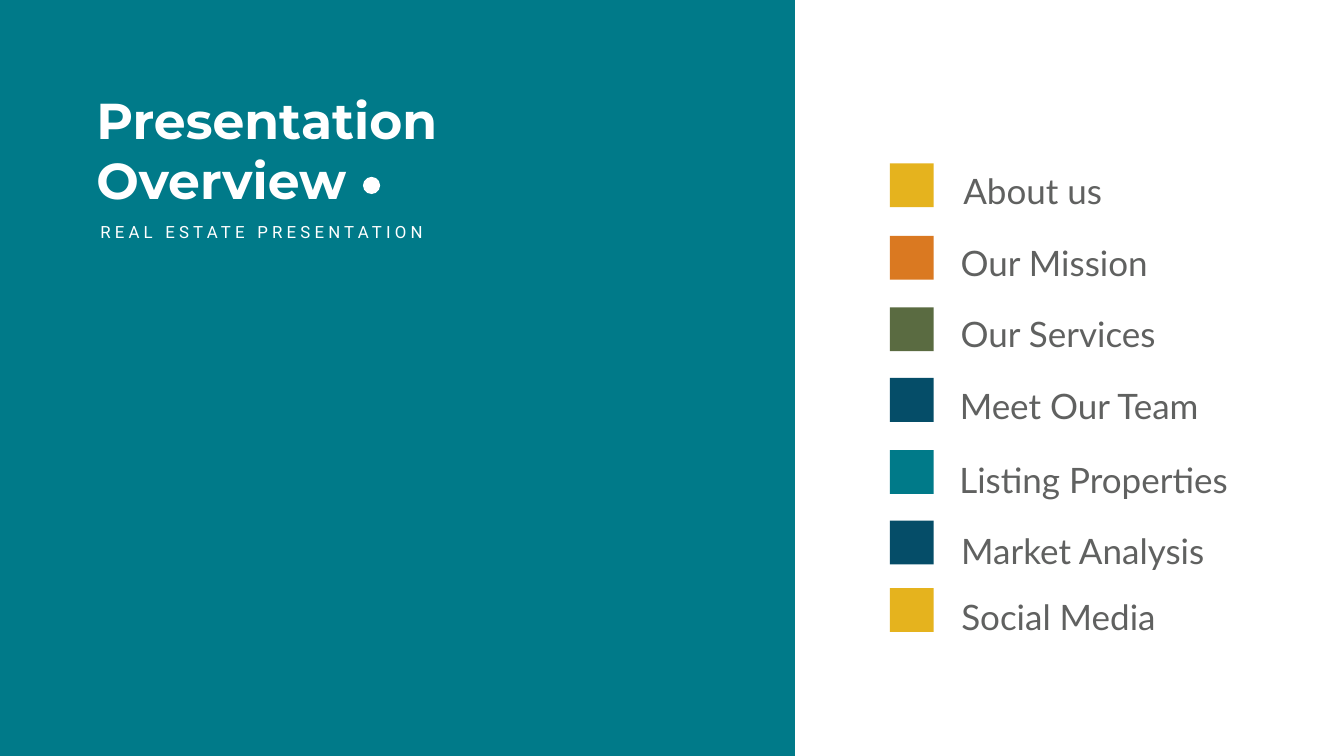
from pptx import Presentation
from pptx.dml.color import RGBColor
from pptx.enum.shapes import MSO_SHAPE as Preset
from pptx.enum.text import MSO_ANCHOR as Anchor, MSO_AUTO_SIZE as AutoSize, PP_ALIGN as Align
from pptx.util import Pt

WHITE = RGBColor(0xFF, 0xFF, 0xFF)
GRAY = RGBColor(0x60, 0x61, 0x60)
TEAL = RGBColor(0x00, 0x7A, 0x89)
YELLOW = RGBColor(0xE5, 0xB3, 0x1E)
ORANGE = RGBColor(0xDA, 0x79, 0x21)
GREEN = RGBColor(0x5A, 0x6B, 0x41)
NAVY = RGBColor(0x05, 0x4D, 0x68)

SLIDE_WIDTH, SLIDE_HEIGHT = 1919.5, 1080
MARKER_LEFT, MARKER_SIZE = 1270.8, 62.6
LABEL_HEIGHT = 86.4

# Agenda: label, colour, marker top, label left, label top, label width
AGENDA = [
    ("About us", YELLOW, 233.3, 1368.7, 208, 214.6),
    ("Our Mission", ORANGE, 337, 1365, 311, 285.8),
    ("Our Services", GREEN, 439.2, 1365, 413.3, 310.3),
    ("Meet Our Team", NAVY, 540, 1363.7, 516.2, 368.6),
    ("Listing Properties", TEAL, 643, 1363, 621.4, 401),
    ("Market Analysis", NAVY, 743.8, 1365.8, 722.9, 369.4),
    ("Social Media", YELLOW, 840.2, 1365.8, 817.2, 295.9),
]


def style_paragraph(para, name, size, color, bold=False):
    para.alignment = Align.LEFT
    font = para.font
    font.name, font.size, font.bold = name, Pt(size), bold
    font.color.rgb = color


def add_block(page, preset, left, top, width, height, color):
    block = page.shapes.add_shape(preset, Pt(left), Pt(top), Pt(width), Pt(height))
    block.shadow.inherit = False
    block.fill.solid()
    block.fill.fore_color.rgb = color
    block.line.fill.background()
    return block


def add_label(page, text, left, top, width, height, wrap):
    box = page.shapes.add_textbox(Pt(left), Pt(top), Pt(width), Pt(height))
    frame = box.text_frame
    frame.word_wrap = wrap
    frame.auto_size = AutoSize.SHAPE_TO_FIT_TEXT
    para = frame.paragraphs[0]
    para.text = text
    return para


def set_title(page, text):
    title = page.shapes.title
    title.left, title.top, title.width, title.height = Pt(130.3), Pt(123.1), Pt(560.9), Pt(181.4)
    frame = title.text_frame
    frame.text = text
    frame.word_wrap = True
    frame.auto_size = AutoSize.SHAPE_TO_FIT_TEXT
    frame.vertical_anchor = Anchor.TOP
    for para in frame.paragraphs:
        style_paragraph(para, "Montserrat", 72, WHITE, bold=True)


def add_subtitle(page, text):
    para = add_label(page, text, 136.1, 313.2, 504.7, 36, wrap=True)
    style_paragraph(para, "Roboto", 24, WHITE)
    para.runs[0].font._element.set("spc", "600")  # letter spacing of 6 pt


def add_agenda_item(page, text, color, marker_top, left, top, width):
    para = add_label(page, text, left, top, width, LABEL_HEIGHT, wrap=False)
    para.line_spacing = 1.5
    style_paragraph(para, "Lato", 50, GRAY)
    add_block(page, Preset.RECTANGLE, MARKER_LEFT, marker_top, MARKER_SIZE, MARKER_SIZE, color)


def main():
    deck = Presentation()
    deck.slide_width, deck.slide_height = Pt(SLIDE_WIDTH), Pt(SLIDE_HEIGHT)
    page = deck.slides.add_slide(deck.slide_layouts[5])
    page.background.fill.solid()
    page.background.fill.fore_color.rgb = WHITE

    # Teal panel, sent behind the title
    panel = add_block(page, Preset.RECTANGLE, 0, 0, 1135.4, SLIDE_HEIGHT, TEAL)
    page.shapes.title._element.addprevious(panel._element)

    # Heading
    set_title(page, "Presentation\nOverview")
    add_subtitle(page, "REAL ESTATE PRESENTATION")
    add_block(page, Preset.OVAL, 518.4, 252.7, 24.5, 24.5, WHITE)

    # Agenda
    for item in AGENDA:
        add_agenda_item(page, *item)

    deck.save("out.pptx")


if __name__ == "__main__":
    main()
